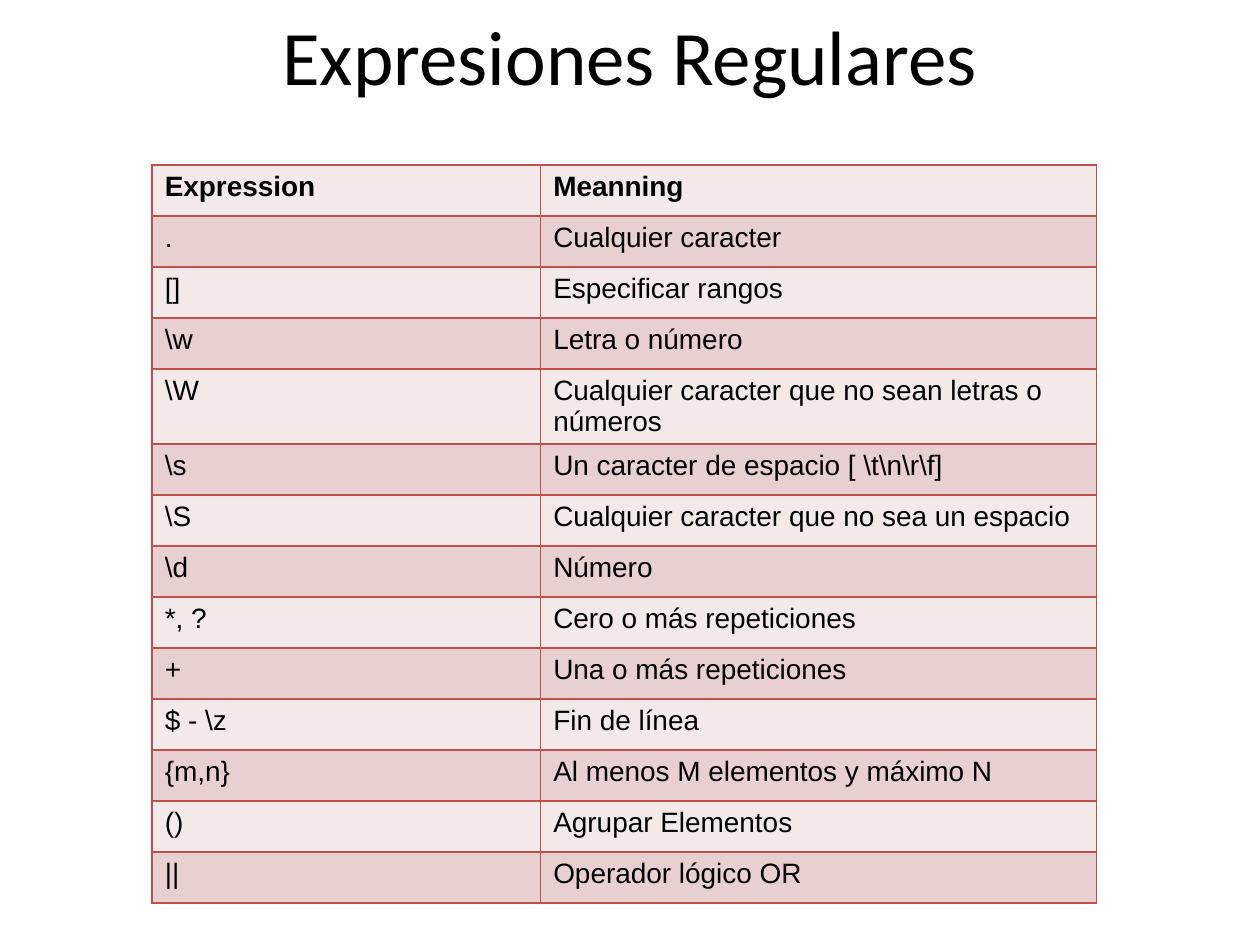
"""Build a slide with a reference table of regular expressions."""
from typing import NamedTuple

from lxml import etree
from pptx import Presentation
from pptx.enum.text import MSO_ANCHOR, PP_ALIGN
from pptx.dml.color import RGBColor
from pptx.oxml.ns import qn
from pptx.util import Pt

CENTER = PP_ALIGN.CENTER
MIDDLE = MSO_ANCHOR.MIDDLE
COLORS = {"text": "000000", "light": "F4E9E9", "dark": "E8D0D0", "border": "C0504D"}
ROW_HEIGHT = Pt(29.15)
COLUMN_WIDTHS = (Pt(222), Pt(317.5))


class Entry(NamedTuple):
    expression: str
    meaning: str


ENTRIES = [
    Entry("Expression", "Meanning"),
    Entry(".", "Cualquier caracter"),
    Entry("[]", "Especificar rangos"),
    Entry(r"\w", "Letra o número"),
    Entry(r"\W", "Cualquier caracter que no sean letras o números"),
    Entry(r"\s", r"Un caracter de espacio [ \t\n\r\f]"),
    Entry(r"\S", "Cualquier caracter que no sea un espacio"),
    Entry(r"\d", "Número"),
    Entry("*, ?", "Cero o más repeticiones"),
    Entry("+", "Una o más repeticiones"),
    Entry(r"$ - \z", "Fin de línea"),
    Entry("{m,n}", "Al menos M elementos y máximo N"),
    Entry("()", "Agrupar Elementos"),
    Entry("||", "Operador lógico OR"),
]


def add_run(paragraph, text: str, font: str, size: int, bold: bool = False) -> None:
    run = paragraph.add_run()
    run.text = text
    run.font.name = font
    run.font.size = Pt(size)
    run.font.bold = bold
    run.font.color.rgb = RGBColor.from_string(COLORS["text"])


def add_borders(cell) -> None:
    properties = cell._tc.get_or_add_tcPr()
    for position, side in enumerate(("lnL", "lnR", "lnT", "lnB")):
        border = etree.Element(qn(f"a:{side}"), w=str(Pt(1)))
        fill = etree.SubElement(border, qn("a:solidFill"))
        etree.SubElement(fill, qn("a:srgbClr"), val=COLORS["border"])
        properties.insert(position, border)


def fill_cell(cell, text: str, color: str, bold: bool) -> None:
    cell.margin_left = cell.margin_right = Pt(7.2)
    cell.margin_top = cell.margin_bottom = Pt(3.6)
    cell.fill.solid()
    cell.fill.fore_color.rgb = RGBColor.from_string(color)
    add_borders(cell)
    add_run(cell.text_frame.paragraphs[0], text, "Arial", 16, bold)


def add_title(slide, text: str) -> None:
    title = slide.shapes.title
    title.left, title.top, title.width, title.height = Pt(36), Pt(-13.7), Pt(648), Pt(90)
    title.text_frame.vertical_anchor = MIDDLE
    heading = title.text_frame.paragraphs[0]
    heading.alignment = CENTER
    add_run(heading, text, "Calibri", 44)


def add_reference(slide, entries: list[Entry]) -> None:
    reference = slide.shapes.add_table(
        len(entries), len(COLUMN_WIDTHS), Pt(87), Pt(94.4),
        sum(COLUMN_WIDTHS), ROW_HEIGHT * len(entries),
    ).table
    for column, width in zip(reference.columns, COLUMN_WIDTHS):
        column.width = width
    for index, entry in enumerate(entries):
        reference.rows[index].height = ROW_HEIGHT
        color = COLORS["dark" if index % 2 else "light"]
        for cell, text in zip(reference.rows[index].cells, entry):
            fill_cell(cell, text, color, index == 0)


def main() -> None:
    deck = Presentation()
    deck.slide_width, deck.slide_height = Pt(720), Pt(540)
    slide = deck.slides.add_slide(deck.slide_layouts[5])
    add_title(slide, "Expresiones Regulares")
    add_reference(slide, ENTRIES)
    deck.save("out.pptx")


main()
